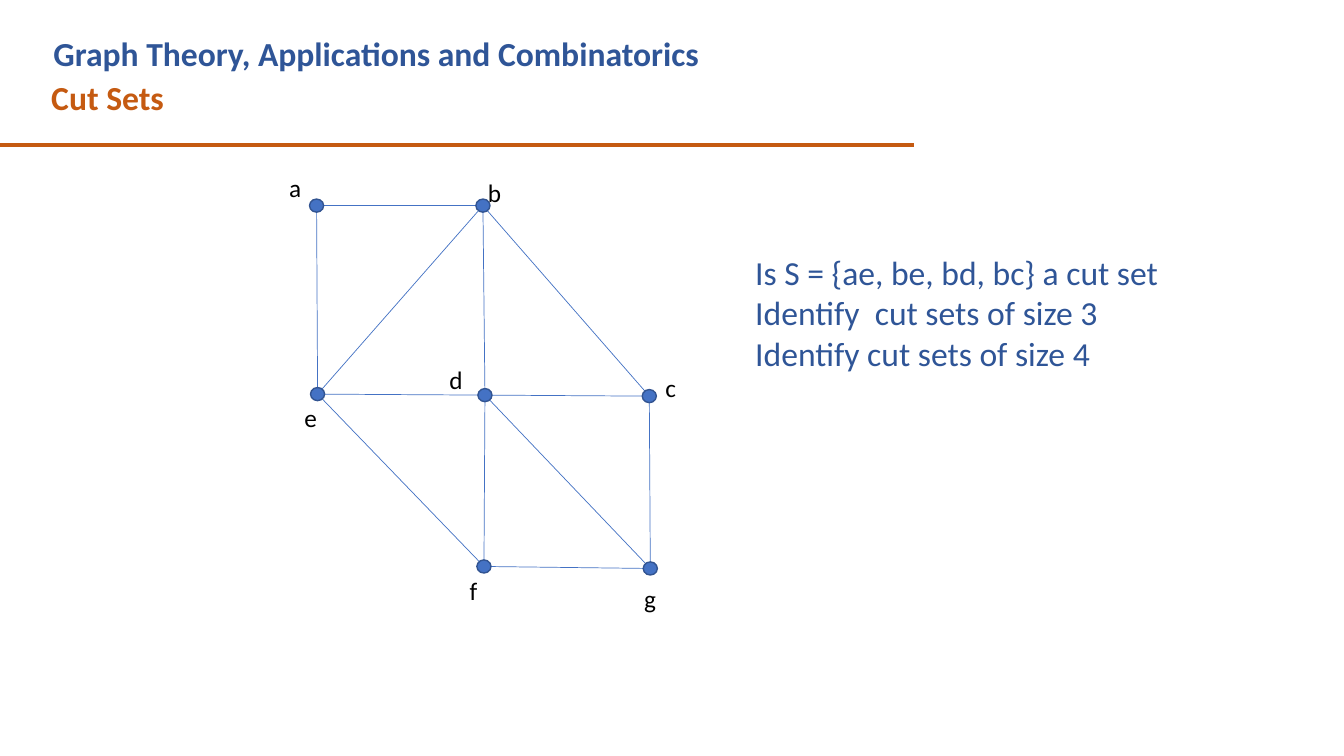
"""Builds a slide that asks about the cut sets of a seven-vertex graph."""
from pptx import Presentation
from pptx import util as u
from pptx.dml.color import RGBColor
from pptx.enum import shapes, text
from pptx.oxml.ns import qn
from lxml import etree

NAVY = RGBColor(0x2F, 0x55, 0x97)
ORANGE = RGBColor(0xC5, 0x5A, 0x11)
BLUE = RGBColor(0x44, 0x72, 0xC4)
DARK_BLUE = RGBColor(0x32, 0x54, 0x91)
BLACK = RGBColor(0, 0, 0)

VERTICES = {
    "a": ((3.14, 2.04), (2.77, 1.66)),
    "b": ((4.79, 2.04), (4.74, 1.71)),
    "c": ((6.44, 3.93), (6.5, 3.64)),
    "d": ((4.81, 3.92), (4.36, 3.57)),
    "e": ((3.15, 3.91), (2.92, 3.94)),
    "f": ((4.8, 5.62), (4.56, 5.66)),
    "g": ((6.45, 5.64), (6.29, 5.74)),
}
EDGES = "ae ab bd ed dc df cg fg eb ef dg bc".split()
QUESTIONS = [
    "Is S = {ae, be, bd, bc} a cut set",
    "Identify  cut sets of size 3",
    "Identify cut sets of size 4",
]


def write(frame, lines, size=24, color=NAVY, bold=False):
    frame.word_wrap = True
    frame.auto_size = text.MSO_AUTO_SIZE.NONE
    frame.vertical_anchor = text.MSO_ANCHOR.TOP
    for index, line in enumerate(lines):
        paragraph = frame.paragraphs[0] if index == 0 else frame.add_paragraph()
        properties = paragraph._p.get_or_add_pPr()
        properties.set("marL", "0")
        properties.set("indent", "0")
        etree.SubElement(properties, qn("a:buNone"))
        paragraph.alignment = text.PP_ALIGN.LEFT
        paragraph.space_before = u.Pt(0)
        run = paragraph.add_run()
        run.text = line
        run.font.name = "Calibri"
        run.font.size = u.Pt(size)
        run.font.bold = bold
        run.font.color.rgb = color


class GraphSlide:
    def __init__(self, slide):
        self.slide = slide
        self.dot_width, self.dot_height = 0.14, 0.13

    def fill_placeholder(self, holder, lines, left, top, width, height, **style):
        holder.left, holder.top = u.Inches(left), u.Inches(top)
        holder.width, holder.height = u.Inches(width), u.Inches(height)
        write(holder.text_frame, lines, **style)

    def label(self, words, left, top, width, height, **style):
        box = self.slide.shapes.add_textbox(
            u.Inches(left), u.Inches(top), u.Inches(width), u.Inches(height))
        write(box.text_frame, [words], **style)

    def line(self, start, end, color=BLUE, weight=0.5):
        ends = [u.Inches(value) for value in (*start, *end)]
        stroke = self.slide.shapes.add_connector(shapes.MSO_CONNECTOR.STRAIGHT, *ends)
        stroke.line.color.rgb = color
        stroke.line.width = u.Pt(weight)
        etree.SubElement(stroke._element.spPr, qn("a:effectLst"))

    def vertex(self, center):
        x, y = center
        dot = self.slide.shapes.add_shape(
            shapes.MSO_SHAPE.OVAL,
            u.Inches(x - self.dot_width / 2), u.Inches(y - self.dot_height / 2),
            u.Inches(self.dot_width), u.Inches(self.dot_height))
        dot.shadow.inherit = False
        dot.fill.solid()
        dot.fill.fore_color.rgb = BLUE
        dot.line.color.rgb = DARK_BLUE
        dot.line.width = u.Pt(1)


def main():
    deck = Presentation()
    deck.slide_width, deck.slide_height = u.Inches(13.33), u.Inches(7.5)
    slide = deck.slides.add_slide(deck.slide_layouts[1])
    page = GraphSlide(slide)
    course, questions = slide.placeholders

    page.fill_placeholder(course, ["Graph Theory, Applications and Combinatorics"],
                          0.43, 0.28, 8.2, 0.5, bold=True)
    page.label("Cut Sets", 0.41, 0.71, 8.75, 0.5, color=ORANGE, bold=True)
    page.line((-0.01, 1.44), (9.07, 1.44), color=ORANGE, weight=3)

    for start, end in EDGES:
        page.line(VERTICES[start][0], VERTICES[end][0])
    for name, (center, corner) in VERTICES.items():
        page.vertex(center)
        page.label(name, *corner, 0.46, 0.4, size=18, color=BLACK)

    page.fill_placeholder(questions, QUESTIONS, 7.39, 2.45, 4.46, 1.31)
    deck.save("out.pptx")


if __name__ == "__main__":
    main()
